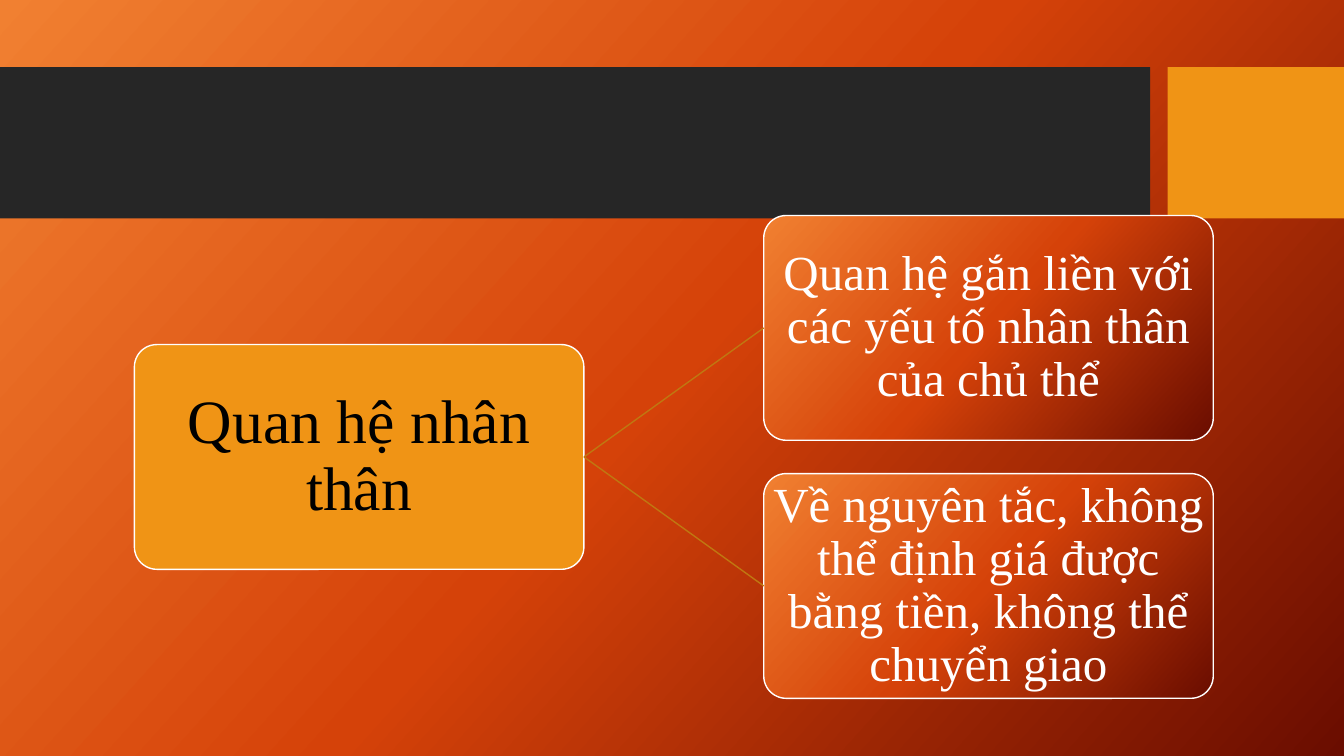
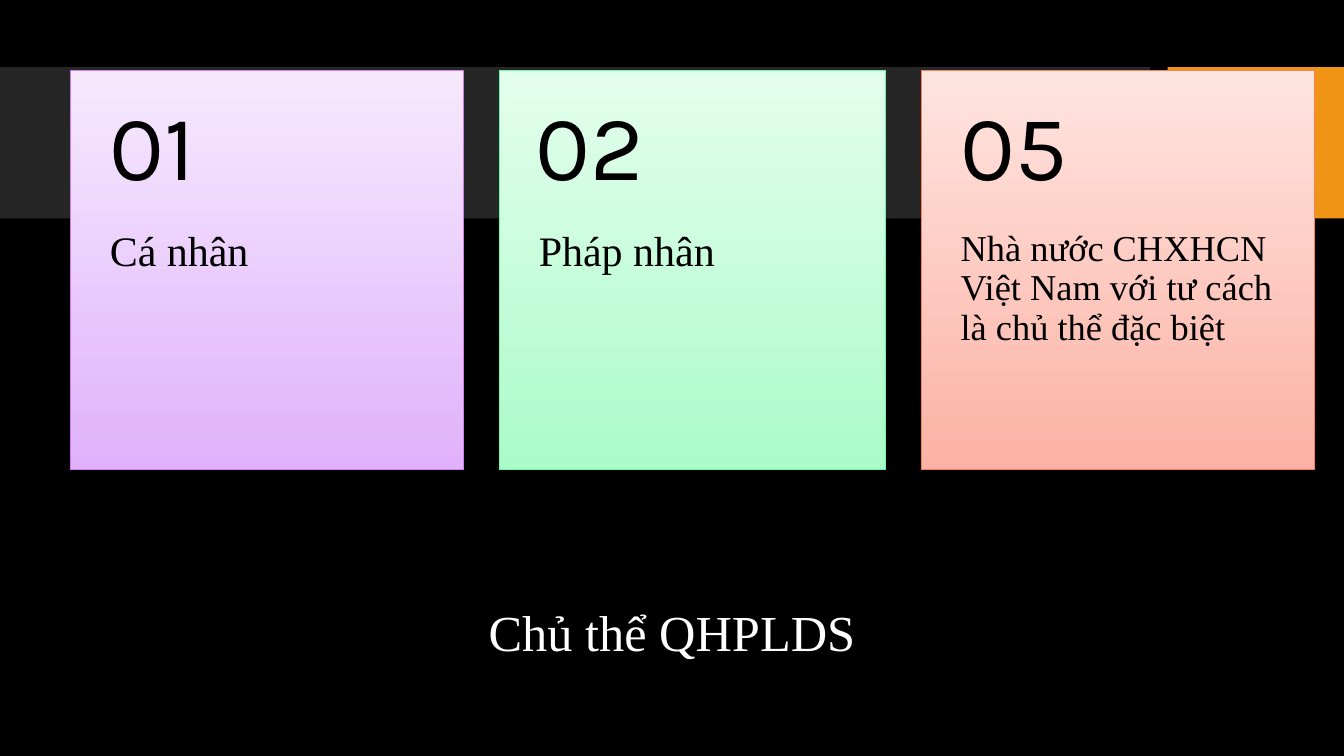
import pptx
import pptx.util
import pptx.dml.color
import pptx.enum.shapes
import pptx.enum.text
import pptx.oxml.ns
import lxml.etree

CELL = 152400
COLUMNS, ROWS = 80, 45
SERIF, SANS = "Times New Roman", "Karla"
COLOURS = {
    "black": "000000", "white": "FFFFFF", "band": "262626", "accent": "F09415",
    "link": "C07711", "ember": ["F18031", "D54209", "6A0D00"], "violet": ["F6E9FE", "E0B2FB"],
    "violet line": "D17DF9", "mint": ["E4FEED", "ABFBC9"], "mint line": "6DF9AB",
    "coral": ["FEE4DF", "FCB2A5"], "coral line": "FA7E5C",
}
ALIGN = pptx.enum.text.PP_ALIGN
ANCHOR = pptx.enum.text.MSO_ANCHOR
SHAPES = pptx.enum.shapes.MSO_SHAPE

EMBER_ANGLE, CARD_ANGLE = 42, 90
NODE_WIDTH, NODE_HEIGHT = 26.76, 13.38
ROOT_LEFT, TREE_MIDDLE = 8, 27.2
LEAF_LEFT, LEAF_PITCH = ROOT_LEFT + 1.4 * NODE_WIDTH, 15.36
CARD_START, CARD_TOP, CARD_PITCH = 4.2, 4.2, 25.32
CARD_WIDTH, CARD_HEIGHT, NUMBER_HEIGHT = 23.4, 23.76, 9.5

LEAVES = [
    "Quan hệ gắn liền với các yếu tố nhân thân của chủ thể",
    "Về nguyên tắc, không thể định giá được bằng tiền, không thể chuyển giao",
]
CARDS = [
    ("01", "Cá nhân", 30, "violet", 0),
    ("02", "Pháp nhân", 30, "mint", 0.21),
    ("05", "Nhà nước CHXHCN Việt Nam với tư cách là chủ thể đặc biệt", 26, "coral", 0),
]


def cells(*lengths):
    return [pptx.util.Emu(round(length * CELL)) for length in lengths]


def rgb(name):
    return pptx.dml.color.RGBColor.from_string(COLOURS[name])


def apply(target, values):
    for name, value in values.items():
        setattr(target, name, value)


def paint(fill, element, name, angle=0):
    colours = COLOURS[name]
    if isinstance(colours, str):
        fill.solid()
        fill.fore_color.rgb = rgb(name)
        return
    fill.gradient()
    fill.gradient_angle = 360 - angle
    stops = element.xpath(".//a:gsLst")[0]
    for stop in list(stops):
        stops.remove(stop)
    qn = pptx.oxml.ns.qn
    for index, colour in enumerate(colours):
        position = str(100000 * index // (len(colours) - 1))
        stop = lxml.etree.SubElement(stops, qn("a:gs"), pos=position)
        lxml.etree.SubElement(stop, qn("a:srgbClr"), val=colour)


def write(box, text, size, colour="black", font=SERIF, align=ALIGN.LEFT,
          anchor=ANCHOR.TOP, insets=(0.1, 0.05, 0.1, 0.05)):
    frame = box.text_frame
    sides = ("margin_left", "margin_top", "margin_right", "margin_bottom")
    apply(frame, {"word_wrap": True, "auto_size": pptx.enum.text.MSO_AUTO_SIZE.NONE,
                  "vertical_anchor": anchor})
    apply(frame, dict(zip(sides, map(pptx.util.Inches, insets))))
    para = frame.paragraphs[0]
    apply(para, {"alignment": align, "line_spacing": 0.9})
    span = para.add_run()
    span.text = text
    apply(span.font, {"name": font, "size": pptx.util.Pt(size)})
    span.font.color.rgb = rgb(colour)


def add_panel(page, kind, area, fill, angle=0, line=None, weight=1):
    panel = page.shapes.add_shape(kind, *cells(*area))
    panel.shadow.inherit = False
    paint(panel.fill, panel._element, fill, angle)
    if line:
        panel.line.color.rgb = rgb(line)
        panel.line.width = pptx.util.Pt(weight)
    else:
        panel.line.fill.background()
    return panel


def add_label(page, area, text, size, **style):
    write(page.shapes.add_textbox(*cells(*area)), text, size, **style)


def add_page(deck, layout, background, angle=0):
    page = deck.slides.add_slide(deck.slide_layouts.get_by_name(layout))
    paint(page.background.fill, page._element, background, angle)
    add_panel(page, SHAPES.RECTANGLE, (0, 4, 68.46, 9), "band")
    add_panel(page, SHAPES.RECTANGLE, (69.5, 4, COLUMNS - 69.5, 9), "accent")
    return page


def add_node(page, left, middle, text, size, inset, fill, colour):
    area = (left, middle - NODE_HEIGHT / 2, NODE_WIDTH, NODE_HEIGHT)
    node = add_panel(page, SHAPES.ROUNDED_RECTANGLE, area, fill, EMBER_ANGLE, "white")
    node.adjustments[0] = 0.1
    write(node, text, size, colour, align=ALIGN.CENTER, anchor=ANCHOR.MIDDLE,
          insets=[inset] * 4)
    return node


def add_link(page, start, end):
    link = page.shapes.add_connector(pptx.enum.shapes.MSO_CONNECTOR.STRAIGHT, 0, 0, 0, 0)
    link.begin_connect(start, 3)
    link.end_connect(end, 1)
    link.line.color.rgb = rgb("link")
    link.line.width = pptx.util.Pt(1)
    lxml.etree.SubElement(link._element.spPr, pptx.oxml.ns.qn("a:effectLst"))


def add_card(page, left, number, text, size, theme, trim):
    body_left, body_width = left + trim, CARD_WIDTH - 2 * trim
    add_panel(page, SHAPES.RECTANGLE, (body_left, CARD_TOP, body_width, CARD_HEIGHT),
              theme, CARD_ANGLE, theme + " line", 0.75)
    add_label(page, (body_left, CARD_TOP + NUMBER_HEIGHT, body_width,
                     CARD_HEIGHT - NUMBER_HEIGHT),
              text, size, insets=(0.39, 0, 0.39, 0.36))
    add_label(page, (left, CARD_TOP, CARD_WIDTH, NUMBER_HEIGHT), number, 66, font=SANS,
              anchor=ANCHOR.MIDDLE, insets=(0.39, 0.18, 0.39, 0.18))


def build_relations(deck):
    page = add_page(deck, "Blank", "ember", EMBER_ANGLE)
    root = add_node(page, ROOT_LEFT, TREE_MIDDLE, "Quan hệ nhân thân", 44, 0.03,
                    "accent", "black")
    for index, text in enumerate(LEAVES):
        middle = TREE_MIDDLE + (index - (len(LEAVES) - 1) / 2) * LEAF_PITCH
        leaf = add_node(page, LEAF_LEFT, middle, text, 35, 0.02, "ember", "white")
        add_link(page, root, leaf)


def build_subjects(deck):
    page = add_page(deck, "Title Only", "black")
    title = page.shapes.title
    apply(title, dict(zip(("left", "top", "width", "height"), cells(7, 34.45, 66, 6.75))))
    write(title, "Chủ thể QHPLDS", 36, "white", align=ALIGN.CENTER, anchor=ANCHOR.MIDDLE)
    for index, card in enumerate(CARDS):
        add_card(page, CARD_START + index * CARD_PITCH, *card)


def main():
    deck = pptx.Presentation()
    deck.slide_width, deck.slide_height = cells(COLUMNS, ROWS)
    build_relations(deck)
    build_subjects(deck)
    deck.save("out.pptx")


if __name__ == "__main__":
    main()
